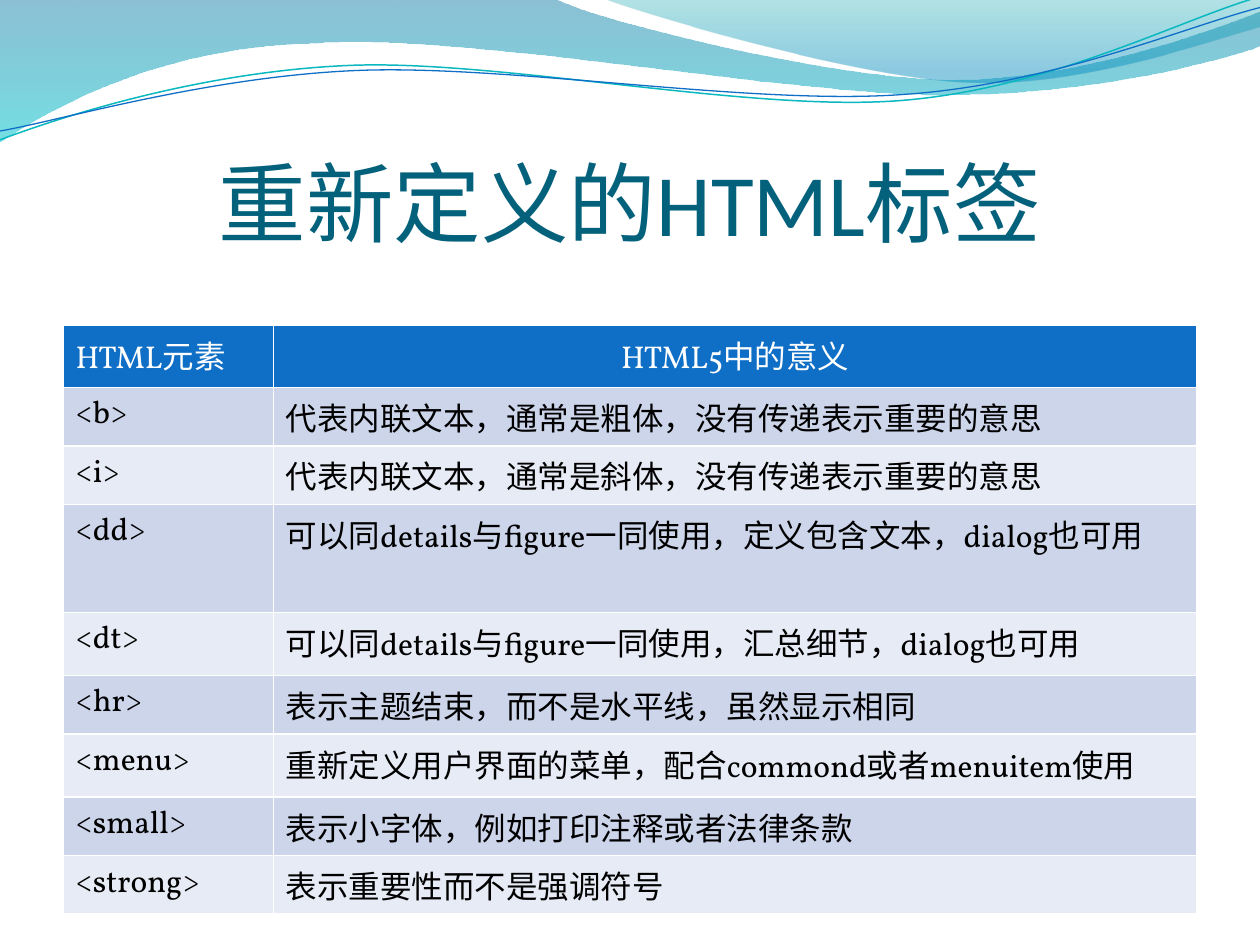
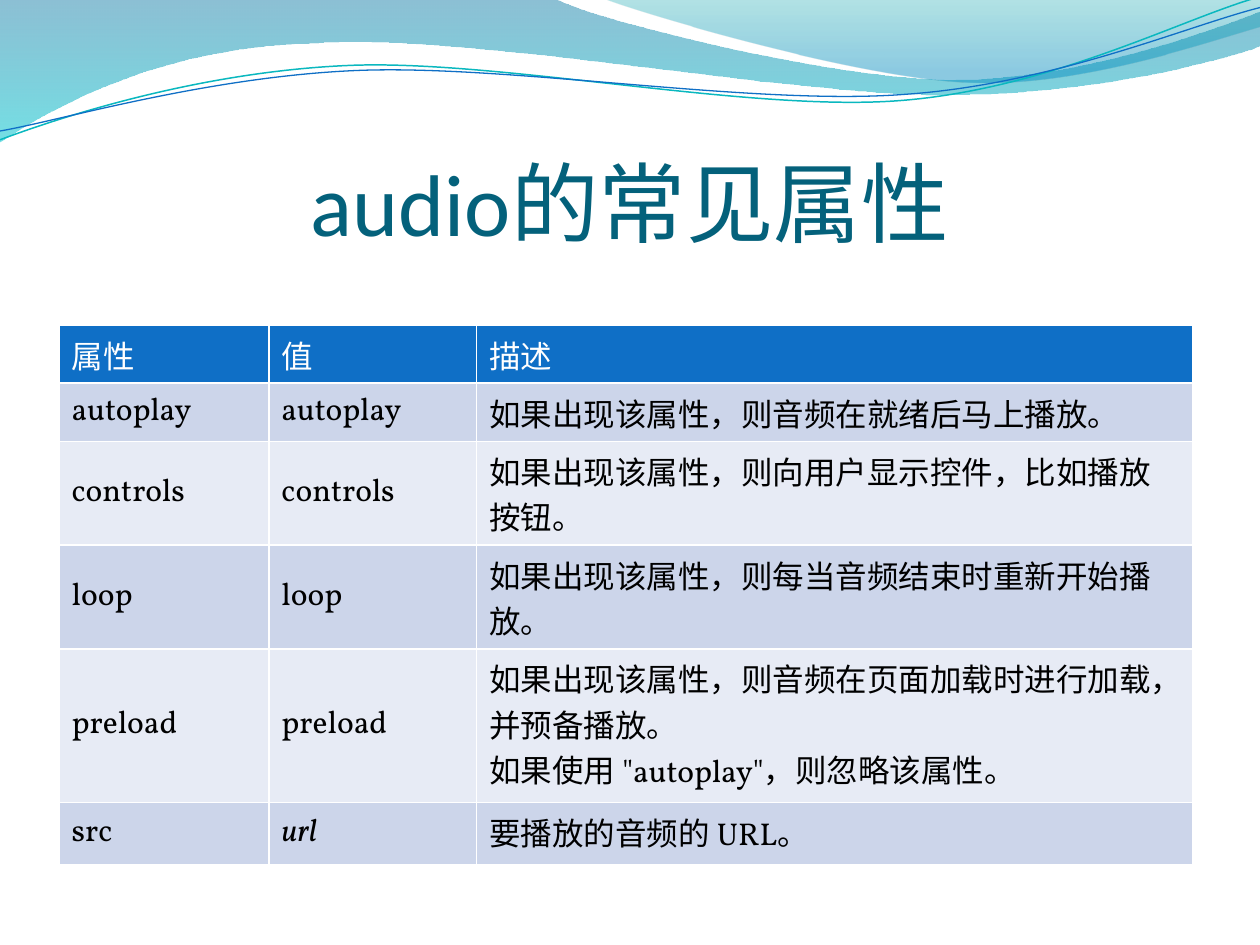
import pptx
import pptx.dml.color
import pptx.enum.text
import pptx.oxml
import pptx.oxml.ns
import pptx.util

Cm, Pt = pptx.util.Cm, pptx.util.Pt
RGBColor = pptx.dml.color.RGBColor
ALIGN = pptx.enum.text.PP_ALIGN
ANCHOR = pptx.enum.text.MSO_ANCHOR
qn, nsdecls = pptx.oxml.ns.qn, pptx.oxml.ns.nsdecls

# Shared style
TITLE = RGBColor(0x04, 0x61, 0x7B)
HEADER = RGBColor(0x0F, 0x6F, 0xC6)
BANDS = [RGBColor(0xCC, 0xD5, 0xEA), RGBColor(0xE7, 0xEB, 0xF5)]
WHITE = RGBColor(0xFF, 0xFF, 0xFF)
BLACK = RGBColor(0x00, 0x00, 0x00)
TEAL = RGBColor(0x0A, 0xB8, 0xBF)
TITLE_FONT, BODY_FONT = "Calibri", "Vollkorn"
UNIT = 2.54  # wave coordinates are in units of 2.54 cm

# Waves: a pair is a corner, six numbers are a cubic curve.
# Gradient stops: position, colour, opacity in percent
bands = [
    ([(0, 0), (4.4, -0.01), (4.76, 0.17, 6.64, 0.63, 7.58, 0.63),
      (8.53, 0.63, 9.58, 0.26, 10, 0.09), (10.01, 0.36),
      (9.83, 0.44, 8.7, 0.76, 7.46, 0.75), (6.22, 0.75, 3.82, 0.28, 2.57, 0.34),
      (1.29, 0.36, 0.46, 0.83, -0.01, 1.13)],
     [(0, RGBColor(0x00, 0x74, 0xA1), 45), (1, RGBColor(0x00, 0xC6, 0xCF), 55)]),
    ([(4.79, -0.01), (5.09, 0.11, 6.82, 0.62, 7.69, 0.65),
      (8.56, 0.69, 9.61, 0.32, 10, 0.21), (10, 0)],
     [(0, RGBColor(0x00, 0xA1, 0xA9), 30), (0.8, RGBColor(0x00, 0x8B, 0xBF), 45)]),
]
lines = [
    ([(0, 1.11), (0.48, 0.93, 1.58, 0.57, 2.77, 0.52),
      (3.95, 0.47, 5.93, 0.89, 7.13, 0.8), (8.33, 0.71, 9.38, 0.15, 9.98, -0.02)],
     TEAL, 0.85),
    ([(0, 1.04), (0.47, 0.96, 1.64, 0.61, 2.83, 0.56),
      (4.03, 0.51, 5.97, 0.84, 7.17, 0.75), (8.36, 0.67, 9.41, 0.21, 10, 0.06)],
     HEADER, 0.75),
]

# Slide contents; each table row starts with its height
slides = [
    dict(title="重新定义的HTML标签", left=1.27, cols=[4.24, 18.62],
         anchor=ANCHOR.TOP, centered="HTML5中的意义", rows=[
             (1.25, "HTML元素", "HTML5中的意义"),
             (1.18, "<b>", "代表内联文本，通常是粗体，没有传递表示重要的意思"),
             (1.18, "<i>", "代表内联文本，通常是斜体，没有传递表示重要的意思"),
             (2.18, "<dd>", "可以同details与figure一同使用，定义包含文本，dialog也可用"),
             (1.27, "<dt>", "可以同details与figure一同使用，汇总细节，dialog也可用"),
             (1.18, "<hr>", "表示主题结束，而不是水平线，虽然显示相同"),
             (1.27, "<menu>", "重新定义用户界面的菜单，配合commond或者menuitem使用"),
             (1.18, "<small>", "表示小字体，例如打印注释或者法律条款"),
             (1.18, "<strong>", "表示重要性而不是强调符号")]),
    dict(title="audio的常见属性", left=1.19, cols=[4.23, 4.19, 14.43],
         anchor=ANCHOR.MIDDLE, centered=None, rows=[
             (1.16, "属性", "值", "描述"),
             (1.18, "autoplay", "autoplay", "如果出现该属性，则音频在就绪后马上播放。"),
             (2.09, "controls", "controls", "如果出现该属性，则向用户显示控件，比如播放按钮。"),
             (2.09, "loop", "loop", "如果出现该属性，则每当音频结束时重新开始播放。"),
             (3.1, "preload", "preload",
              "如果出现该属性，则音频在页面加载时进行加载，并预备播放。\n"
              "如果使用 \"autoplay\"，则忽略该属性。"),
             (1.25, "src", "url", "要播放的音频的 URL。")]),
]


def add_wave(s, outline, close):
    """Draw an outline of corners and cubic curves as a freeform."""
    pts = [(Cm(x * UNIT), Cm(y * UNIT))
           for seg in outline for x, y in zip(seg[::2], seg[1::2])]
    fb = s.shapes.build_freeform(*pts[0])
    fb.add_line_segments(pts[1:], close=close)
    sp = fb.convert_to_shape()
    sp.shadow.inherit = False
    # Merge the three straight steps of each curve into one cubic segment
    steps = iter(list(sp._element.iter(qn("a:lnTo"))))
    for seg in outline[1:]:
        first = next(steps)
        if len(seg) == 6:
            curve = pptx.oxml.parse_xml(f'<a:cubicBezTo {nsdecls("a")}/>')
            first.addprevious(curve)
            for step in (first, next(steps), next(steps)):
                curve.append(step[0])
                step.getparent().remove(step)
    return sp


def set_borders(cell):
    """Give a cell thin white borders on all sides."""
    tcPr = cell._tc.get_or_add_tcPr()
    for i, side in enumerate(("lnL", "lnR", "lnT", "lnB")):
        tcPr.insert(i, pptx.oxml.parse_xml(
            f'<a:{side} {nsdecls("a")} w="12700"><a:solidFill>'
            f'<a:srgbClr val="{WHITE}"/></a:solidFill></a:{side}>'))


prs = pptx.Presentation()
prs.slide_width, prs.slide_height = Cm(25.4), Cm(19.05)

for content in slides:
    s = prs.slides.add_slide(prs.slide_layouts[6])

    # Wave bands and lines at the top
    for outline, stops in bands:
        sp = add_wave(s, outline, True)
        sp.line.fill.background()
        sp.fill.gradient()
        sp.fill.gradient_angle = 270
        for stop, (position, color, _) in zip(sp.fill.gradient_stops, stops):
            stop.position = position
            stop.color.rgb = color
        colors = sp._element.spPr.iter(qn("a:srgbClr"))
        for clr, (_, _, opacity) in zip(list(colors), stops):
            clr.append(pptx.oxml.parse_xml(
                f'<a:alpha {nsdecls("a")} val="{opacity * 1000}"/>'))
    for outline, color, width in lines:
        sp = add_wave(s, outline, False)
        sp.fill.background()
        sp.line.color.rgb = color
        sp.line.width = Pt(width)

    # Title
    tf = s.shapes.add_textbox(Cm(1.27), Cm(1.95), Cm(22.86), Cm(3.17)).text_frame
    tf.word_wrap = True
    tf.vertical_anchor = ANCHOR.BOTTOM
    tf.margin_left = tf.margin_right = tf.margin_bottom = 0
    p = tf.paragraphs[0]
    p.text = content["title"]
    p.alignment = ALIGN.CENTER
    p.font.name, p.font.size = TITLE_FONT, Pt(50)
    p.font.color.rgb = TITLE

    # Table
    rows, cols = content["rows"], content["cols"]
    table = s.shapes.add_table(len(rows), len(cols), Cm(content["left"]), Cm(6.56),
                               Cm(sum(cols)), Cm(sum(row[0] for row in rows))).table
    table.first_row = table.horz_banding = False
    for column, width in zip(table.columns, cols):
        column.width = Cm(width)
    for i, (height, *texts) in enumerate(rows):
        table.rows[i].height = Cm(height)
        for j, text in enumerate(texts):
            cell = table.cell(i, j)
            cell.text = text
            cell.vertical_anchor = content["anchor"]
            cell.fill.solid()
            cell.fill.fore_color.rgb = BANDS[(i - 1) % 2] if i else HEADER
            set_borders(cell)
            for p in cell.text_frame.paragraphs:
                if text == content["centered"]:
                    p.alignment = ALIGN.CENTER
                p.font.name, p.font.size = BODY_FONT, Pt(18)
                p.font.italic = text == "url"
                # The table style sets its own text colour, so runs carry it
                p.runs[0].font.color.rgb = BLACK if i else WHITE

prs.save("out.pptx")
